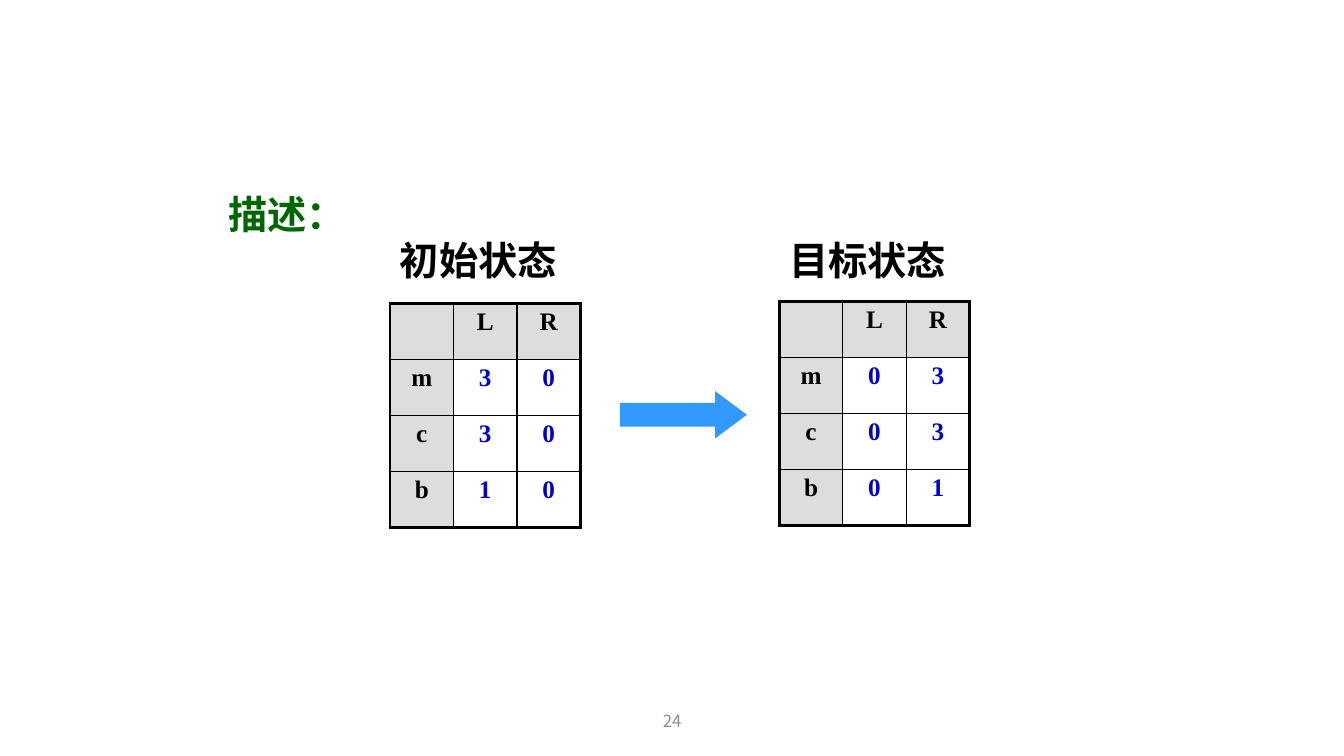
import pptx
import pptx.util
from lxml import etree
from pptx.dml.color import RGBColor
from pptx.enum.shapes import MSO_SHAPE
from pptx.enum.text import MSO_ANCHOR, PP_ALIGN
from pptx.oxml.ns import qn

Pt = pptx.util.Pt

BLACK = RGBColor(0x00, 0x00, 0x00)
GREEN = RGBColor(0x00, 0x66, 0x00)
BLUE = RGBColor(0x00, 0x00, 0xCC)
ARROW_BLUE = RGBColor(0x33, 0x99, 0xFF)
HEADER_GREY = RGBColor(0xDD, 0xDD, 0xDD)
PAGE_GREY = RGBColor(0x8C, 0x8C, 0x8C)
WHITE = RGBColor(0xFF, 0xFF, 0xFF)
SERIF, CJK = "Times New Roman", "Noto Sans CJK SC"

DESCRIPTION = "描述："
PAGE_NUMBER = "24"
# heading, left, table top, rows
STATES = [
    ("初始状态", 278.6, 216.7,
     [("", "L", "R"), ("m", "3", "0"), ("c", "3", "0"), ("b", "1", "0")]),
    ("目标状态", 556.6, 215.3,
     [("", "L", "R"), ("m", "0", "3"), ("c", "0", "3"), ("b", "0", "1")]),
]
HEADING_TOP, HEADING_WIDTH, HEADING_HEIGHT = 165.6, 130.3, 41
COLUMN_WIDTH, ROW_HEIGHT = 45.36, 40
OUTER_LINE, INNER_LINE = 2.25, 1

deck = pptx.Presentation()
deck.slide_width, deck.slide_height = Pt(960), Pt(540)
slide = deck.slides.add_slide(deck.slide_layouts[6])


def add_run(paragraph, text, size, color, font=SERIF, bold=True):
    run = paragraph.add_run()
    run.text = text
    run.font.size, run.font.bold, run.font.name = Pt(size), bold, font
    run.font.color.rgb = color
    etree.SubElement(run.font._element, qn("a:ea"), typeface=CJK)


def add_label(text, left, top, width, height, size, color, **run_style):
    label = slide.shapes.add_textbox(Pt(left), Pt(top), Pt(width), Pt(height))
    label.text_frame.word_wrap = True
    add_run(label.text_frame.paragraphs[0], text, size, color, **run_style)
    return label.text_frame


def set_borders(cell, widths):
    properties = cell._tc.get_or_add_tcPr()
    for index, (side, width) in enumerate(widths.items()):
        line = etree.Element(qn("a:ln" + side), w=str(Pt(width)))
        fill = etree.SubElement(line, qn("a:solidFill"))
        etree.SubElement(fill, qn("a:srgbClr"), val=str(BLACK))
        properties.insert(index, line)


def add_state_table(left, top, rows):
    last_row, last_column = len(rows) - 1, len(rows[0]) - 1
    table = slide.shapes.add_table(
        len(rows), len(rows[0]), Pt(left), Pt(top),
        Pt(COLUMN_WIDTH * len(rows[0])), Pt(ROW_HEIGHT * len(rows))).table
    for column in table.columns:
        column.width = Pt(COLUMN_WIDTH)
    for r, values in enumerate(rows):
        table.rows[r].height = Pt(ROW_HEIGHT)
        for c, value in enumerate(values):
            cell = table.cell(r, c)
            is_header = r == 0 or c == 0
            cell.fill.solid()
            cell.fill.fore_color.rgb = HEADER_GREY if is_header else WHITE
            paragraph = cell.text_frame.paragraphs[0]
            paragraph.alignment = PP_ALIGN.CENTER
            if value:
                add_run(paragraph, value, 18, BLACK if is_header else BLUE)
            on_edge = {"L": c == 0, "R": c == last_column,
                       "T": r == 0, "B": r == last_row}
            set_borders(cell, {side: OUTER_LINE if edge else INNER_LINE
                               for side, edge in on_edge.items()})


page = add_label(PAGE_NUMBER, 318.2, 500.4, 324, 28.8, 12, PAGE_GREY,
                 font=CJK, bold=False)
page.vertical_anchor = MSO_ANCHOR.MIDDLE
page.paragraphs[0].alignment = PP_ALIGN.CENTER

add_label(DESCRIPTION, 156.2, 132.5, 118.8, HEADING_HEIGHT, 28, GREEN)
for heading, left, table_top, rows in STATES:
    add_label(heading, left, HEADING_TOP, HEADING_WIDTH, HEADING_HEIGHT, 28, BLACK)
    add_state_table(left, table_top, rows)

arrow = slide.shapes.add_shape(
    MSO_SHAPE.RIGHT_ARROW, Pt(442.8), Pt(279.4), Pt(90.7), Pt(33.8))
arrow.adjustments[0], arrow.adjustments[1] = 0.5, 0.67
arrow.shadow.inherit = False
arrow.fill.solid()
arrow.fill.fore_color.rgb = ARROW_BLUE
arrow.line.fill.background()

deck.save("out.pptx")
